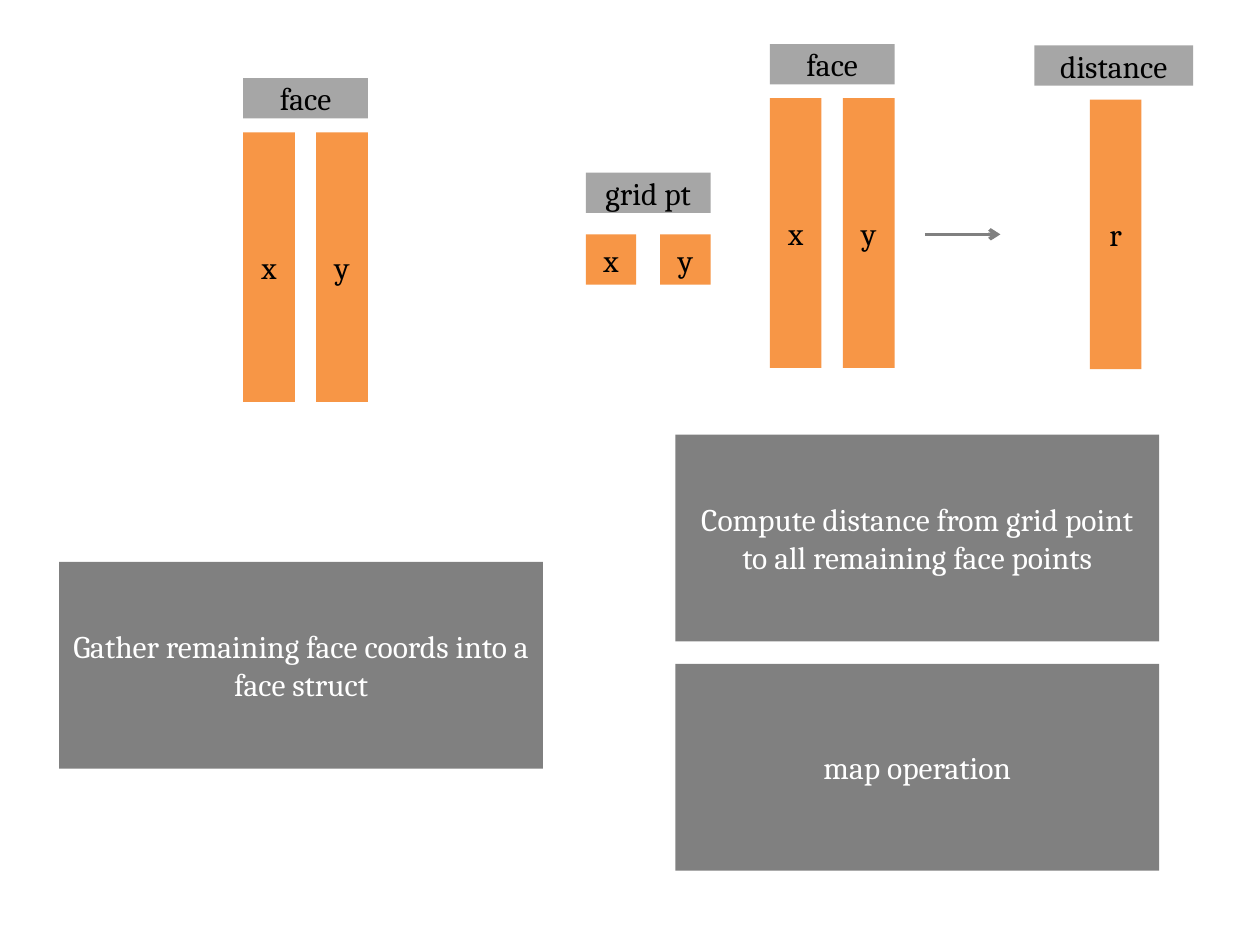
from dataclasses import dataclass

from lxml.etree import SubElement
from pptx import Presentation
from pptx.dml.color import RGBColor
from pptx.enum.shapes import MSO_CONNECTOR, MSO_SHAPE
from pptx.enum.text import MSO_ANCHOR, PP_ALIGN
from pptx.oxml.ns import qn
from pptx.util import Inches, Pt

ORANGE = RGBColor(0xF7, 0x96, 0x46)
SILVER = RGBColor(0xA6, 0xA6, 0xA6)
GRAY = RGBColor(0x80, 0x80, 0x80)
BLACK = RGBColor(0, 0, 0)
WHITE = RGBColor(0xFF, 0xFF, 0xFF)


@dataclass
class Box:
    text: str
    left: float
    top: float
    width: float
    height: float
    fill: RGBColor
    ink: RGBColor = BLACK


def label(text: str, left: float, top: float, width: float = 0.99) -> Box:
    return Box(text, left, top, width, 0.32, SILVER)


def column(text: str, left: float, top: float) -> Box:
    return Box(text, left, top, 0.41, 2.14, ORANGE)


def cell(text: str, left: float, top: float) -> Box:
    return Box(text, left, top, 0.4, 0.4, ORANGE)


def panel(text: str, left: float, top: float) -> Box:
    return Box(text, left, top, 3.84, 1.64, GRAY, WHITE)


def face(left: float, top: float) -> list[Box]:
    return [
        column("x", left, top + 0.43),
        column("y", left + 0.58, top + 0.43),
        label("face", left, top),
    ]


def draw_box(slide, box: Box) -> None:
    shape = slide.shapes.add_shape(
        MSO_SHAPE.RECTANGLE,
        Inches(box.left), Inches(box.top), Inches(box.width), Inches(box.height),
    )
    shape.shadow.inherit = False
    shape.fill.solid()
    shape.fill.fore_color.rgb = box.fill
    shape.line.fill.background()
    frame = shape.text_frame
    frame.word_wrap = True
    frame.vertical_anchor = MSO_ANCHOR.MIDDLE
    frame.text = box.text
    para = frame.paragraphs[0]
    para.alignment = PP_ALIGN.CENTER
    font = para.runs[0].font
    font.name = "Cambria"
    font.size = Pt(18)
    font.color.rgb = box.ink


def draw_arrow(slide, start: float, end: float, top: float) -> None:
    arrow = slide.shapes.add_connector(
        MSO_CONNECTOR.STRAIGHT, Inches(start), Inches(top), Inches(end), Inches(top)
    )
    arrow.line.color.rgb = GRAY
    arrow.line.width = Pt(2)
    SubElement(arrow.line._get_or_add_ln(), qn("a:tailEnd"), type="arrow")
    SubElement(arrow._element.spPr, qn("a:effectLst"))


def main() -> None:
    deck = Presentation()
    deck.slide_width = Inches(10)
    deck.slide_height = Inches(7.5)
    slide = deck.slides.add_slide(deck.slide_layouts[6])
    boxes = [
        panel("Gather remaining face coords into a face struct", 0.47, 4.46),
        *face(1.93, 0.62),
        panel("Compute distance from grid point to all remaining face points", 5.36, 3.45),
        panel("map operation", 5.36, 5.27),
        *face(6.11, 0.35),
        label("grid pt", 4.65, 1.37),
        cell("x", 4.65, 1.86),
        cell("y", 5.24, 1.86),
        label("distance", 8.21, 0.36, 1.26),
        column("r", 8.65, 0.79),
    ]
    for box in boxes:
        draw_box(slide, box)
    draw_arrow(slide, 7.34, 7.94, 1.86)
    deck.save("out.pptx")


if __name__ == "__main__":
    main()
